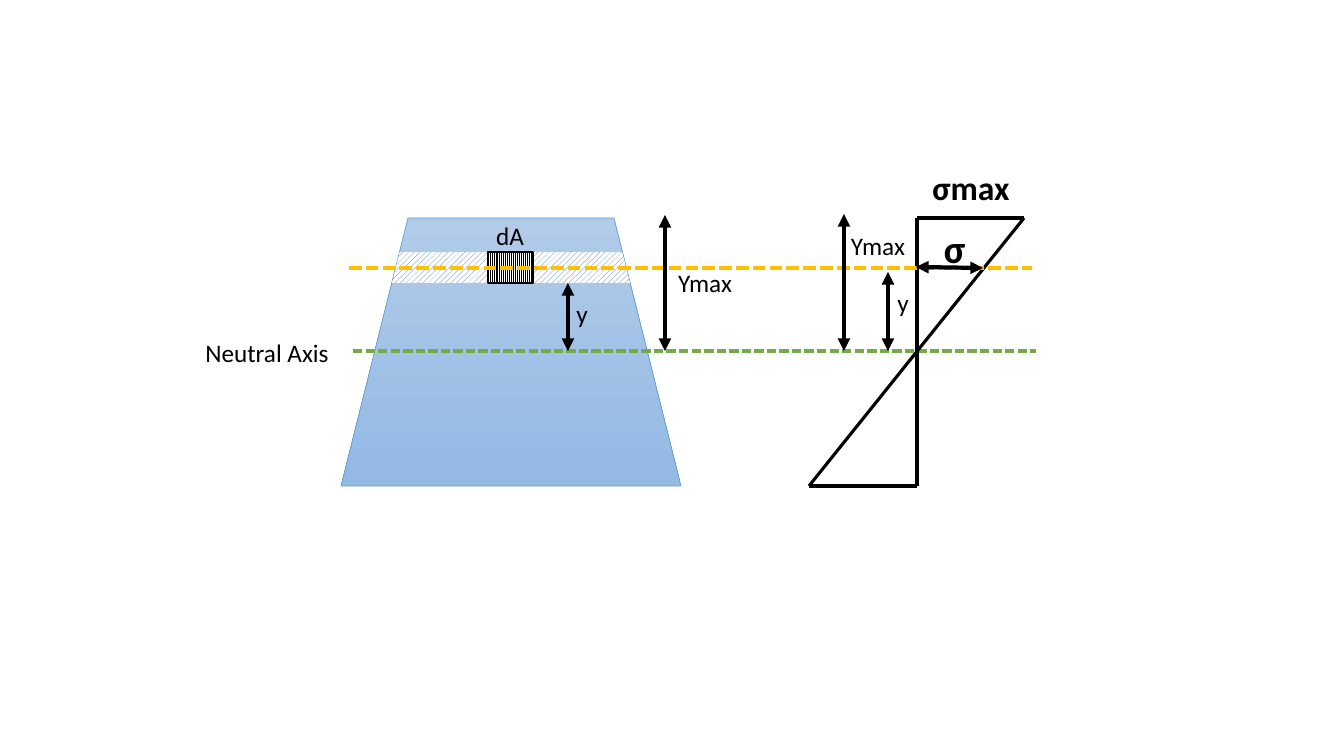
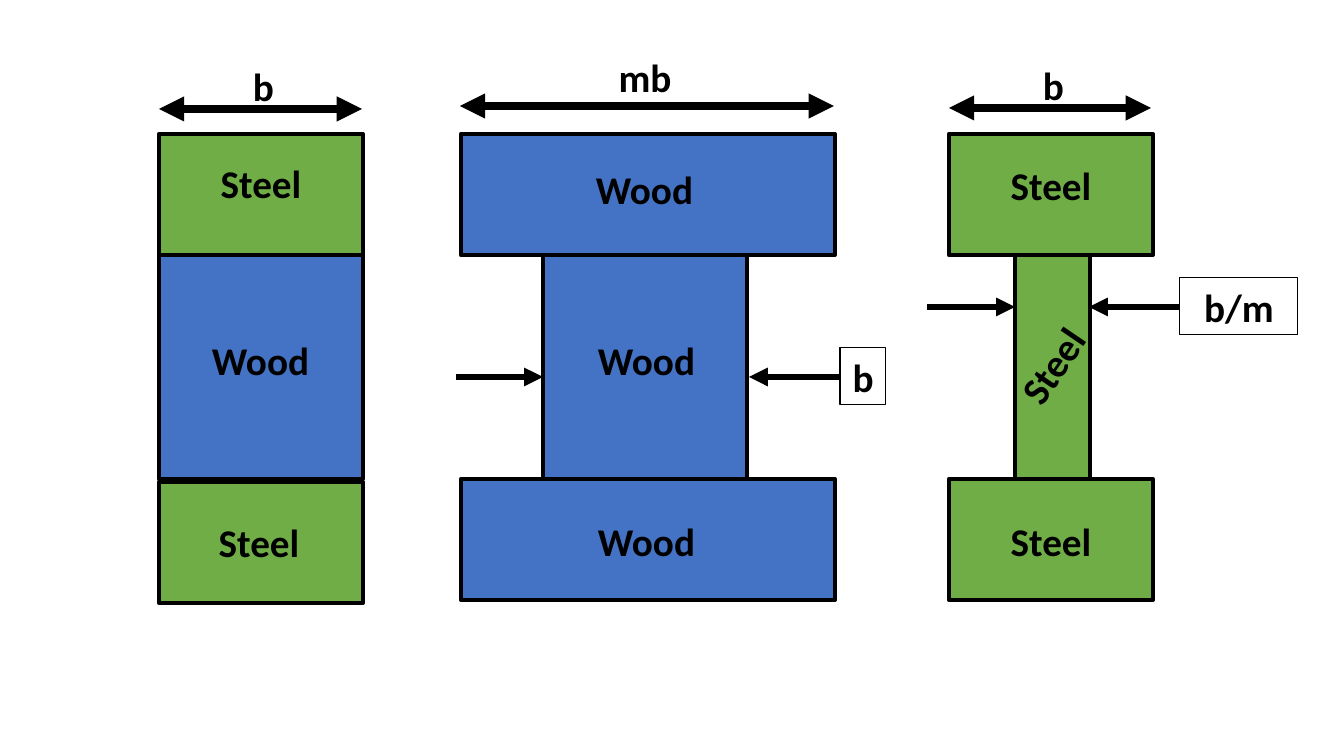
from lxml.etree import SubElement
from pptx import Presentation
from pptx.dml.color import RGBColor
from pptx.enum.dml import MSO_LINE as Dash, MSO_PATTERN as Pattern
from pptx.enum.shapes import MSO_CONNECTOR as Connector, MSO_SHAPE as Shape
from pptx.enum.text import PP_ALIGN as Align
from pptx.oxml.ns import qn
from pptx.util import Emu, Pt

PX = 914400 / 100.8
FONT = "Calibri"
BLACK, WHITE = "000000", "FFFFFF"
BLUE, GREEN, GOLD = "4472C4", "70AD47", "FFC000"
OUTLINE, GRADIENT = "5B9BD5", ("B1CBE9", "93B9E4")
MATERIALS = {"Steel": GREEN, "Wood": BLUE}


def px(*lengths):
    """Turn pixels into EMU lengths."""
    return [Emu(round(length * PX)) for length in lengths]


def rgb(code):
    """Turn a hex string into a colour."""
    return RGBColor.from_string(code)


def set_line(item, width, color=BLACK):
    """Give a shape or connector a solid line."""
    item.line.color.rgb = rgb(color)
    item.line.width = Pt(width)


def block(slide, box, kind=Shape.RECTANGLE, line=None):
    """Add a shadowless shape; line is (width, colour) or None."""
    shape = slide.shapes.add_shape(kind, *px(*box))
    shape.shadow.inherit = False
    if line:
        set_line(shape, *line)
    else:
        shape.line.fill.background()
    return shape


def hatch(shape, pattern, color):
    """Fill a shape with a pattern on white."""
    shape.fill.patterned()
    shape.fill.pattern = pattern
    shape.fill.fore_color.rgb = rgb(color)
    shape.fill.back_color.rgb = rgb(WHITE)


def shade(shape, colors):
    """Fill a shape with a gradient from top to bottom."""
    shape.fill.gradient()
    shape.fill.gradient_angle = 270
    for stop, color in zip(shape.fill.gradient_stops, colors):
        stop.color.rgb = rgb(color)


def member(slide, material, box):
    """Add a beam part in the colour of its material."""
    part = block(slide, box, line=(3, BLACK))
    part.fill.solid()
    part.fill.fore_color.rgb = rgb(MATERIALS[material])


def label(slide, text, box, size=18, bold=False, rotation=0, framed=False):
    """Add a centred text, with a thin frame if wanted."""
    caption = slide.shapes.add_textbox(*px(*box))
    caption.rotation = rotation
    if framed:
        set_line(caption, 0.75)
    caption.text_frame.word_wrap = True
    paragraph = caption.text_frame.paragraphs[0]
    paragraph.text = text
    paragraph.alignment = Align.CENTER
    font = paragraph.font
    font.name, font.size, font.bold = FONT, Pt(size), bold
    font.color.rgb = rgb(BLACK)


def stroke(slide, start, end, width, color=BLACK, dashed=False, arrows=()):
    """Add a straight line; arrows lists the ends that carry a head."""
    connector = slide.shapes.add_connector(
        Connector.STRAIGHT, *px(*start, *end))
    set_line(connector, width, color)
    if dashed:
        connector.line.dash_style = Dash.SQUARE_DOT
    properties = connector._element.spPr
    for name in arrows:
        SubElement(properties.find(qn("a:ln")), qn("a:" + name), type="triangle")
    SubElement(properties, qn("a:effectLst"))


def dimension(slide, start, end, width=3):
    """Add a double-headed dimension arrow."""
    stroke(slide, start, end, width, arrows=("headEnd", "tailEnd"))


def pointer(slide, start, end):
    """Add a single-headed arrow."""
    stroke(slide, start, end, 4.5, arrows=("tailEnd",))


def draw_bending_stress(slide):
    """Draw the cross-section and its stress distribution."""
    top, bottom, neutral, fibre = 218, 486, 351, 268

    label(slide, "Neutral Axis", (164, 332, 206, 40))
    section = block(slide, (341, top, 340, bottom - top), Shape.TRAPEZOID,
                    (0.5, OUTLINE))
    shade(section, GRADIENT)
    stroke(slide, (353, neutral), (1036, neutral), 2.25, GREEN, dashed=True)
    strip = block(slide, (392, 252, 238, 31), Shape.TRAPEZOID)
    hatch(strip, Pattern.WIDE_UPWARD_DIAGONAL, BLUE)
    area = block(slide, (488, 252, 45, 31), line=(1, BLACK))
    hatch(area, Pattern.NARROW_VERTICAL, BLACK)
    label(slide, "dA", (407, 215, 206, 40))

    axis, right, left = 917, 1024, 809
    for start, end in (((axis, bottom), (axis, top)),
                       ((right, top), (left, bottom)),
                       ((axis, top), (right, top)),
                       ((left, bottom), (axis, bottom))):
        stroke(slide, start, end, 2.25)
    stroke(slide, (349, fibre), (1032, fibre), 3, GOLD, dashed=True)
    dimension(slide, (916, 267), (983, fibre))
    label(slide, "σmax", (914, 162, 114, 50), 24, bold=True)
    label(slide, "σ", (934, 219, 37, 57), 28, bold=True)

    for name, x, tip, text_box in (("y", 568, 283, (554, 293, 56, 40)),
                                   ("Ymax", 665, 215, (663, 262, 84, 40)),
                                   ("y", 888, 272, (875, 282, 56, 40)),
                                   ("Ymax", 844, 214, (836, 225, 84, 40))):
        dimension(slide, (x, neutral), (x, tip))
        label(slide, name, text_box)


def draw_transformed_sections(slide):
    """Draw the composite beam and its all-wood and all-steel equivalents."""
    top, flange, web_top, web, base = 134, 121, 255, 224, 479
    # Flange material, left, width; web material, left, width; lower flange top
    sections = (("Steel", 159, 204, "Wood", 159, 204, base + 3),
                ("Wood", 461, 374, "Wood", 543, 204, base),
                ("Steel", 949, 204, "Steel", 1015, 75, base))
    for outer, left, width, inner, web_left, web_width, lower in sections:
        member(slide, inner, (web_left, web_top, web_width, web))
        for y in (top, lower):
            member(slide, outer, (left, y, width, flange))

    for text, x, y, width, turn in (("Steel", 186, 154, 150, 0),
                                    ("Wood", 159, 331, 203, 0),
                                    ("Steel", 184, 513, 150, 0),
                                    ("Wood", 543, 160, 203, 0),
                                    ("Wood", 545, 331, 203, 0),
                                    ("Wood", 545, 512, 203, 0),
                                    ("Steel", 976, 156, 150, 0),
                                    ("Steel", 976, 512, 150, 0),
                                    ("Steel", 977, 337, 150, 304.2),
                                    ("b", 243, 57, 37, 0),
                                    ("mb", 603, 48, 84, 0),
                                    ("b", 1033, 56, 37, 0)):
        label(slide, text, (x, y, width, 57), 28, True, turn)

    for left, right, y in ((159, 362, 109), (460, 834, 106), (949, 1151, 108)):
        dimension(slide, (left, y), (right, y), 6)

    for text, left, web_left, y, web_right, frame, width in (
            ("b", 456, 543, 377, 749, 840, 46),
            ("b/m", 927, 1015, 307, 1089, 1180, 118)):
        pointer(slide, (left, y), (web_left, y))
        pointer(slide, (frame, y), (web_right, y))
        label(slide, text, (frame, y - 29, width, 57), 28, True, framed=True)


def main():
    """Build both slides and save them."""
    deck = Presentation()
    deck.slide_width, deck.slide_height = px(1344, 756)
    blank = deck.slide_layouts[6]
    for draw in (draw_bending_stress, draw_transformed_sections):
        draw(deck.slides.add_slide(blank))
    deck.save("out.pptx")


main()
